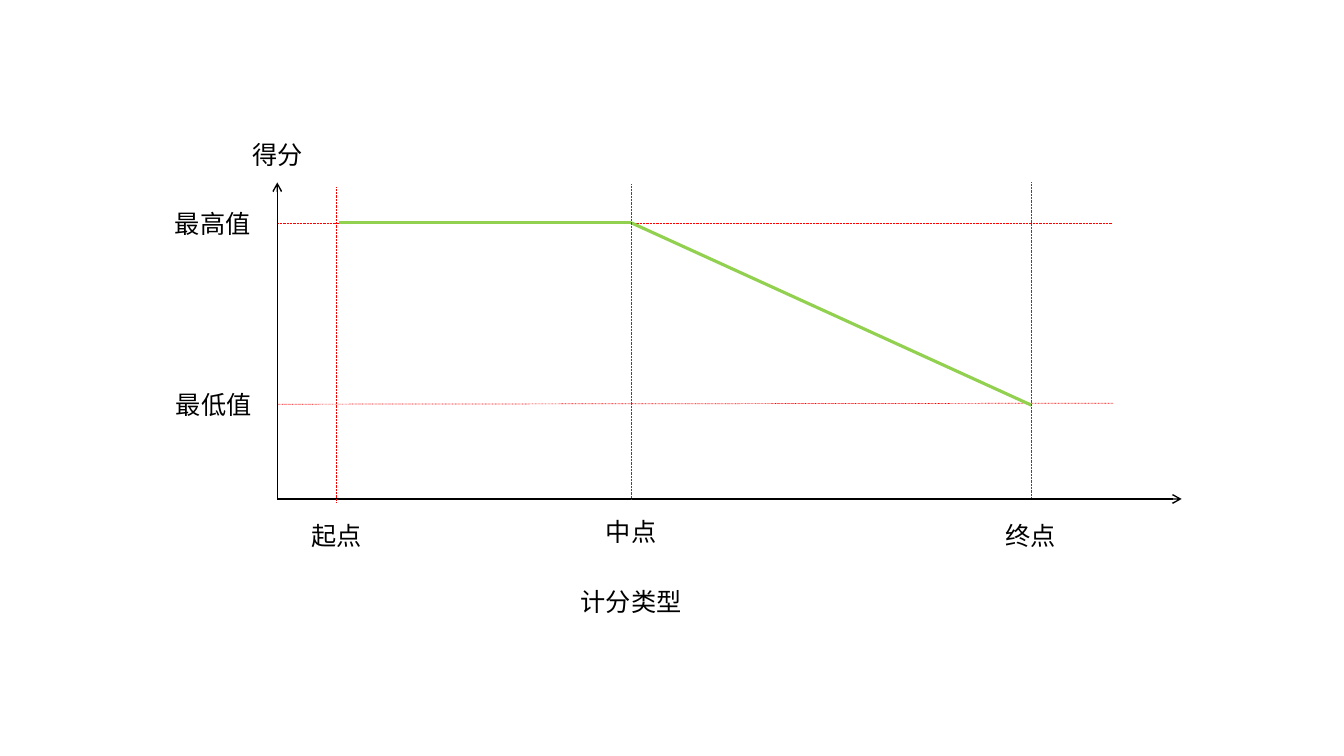
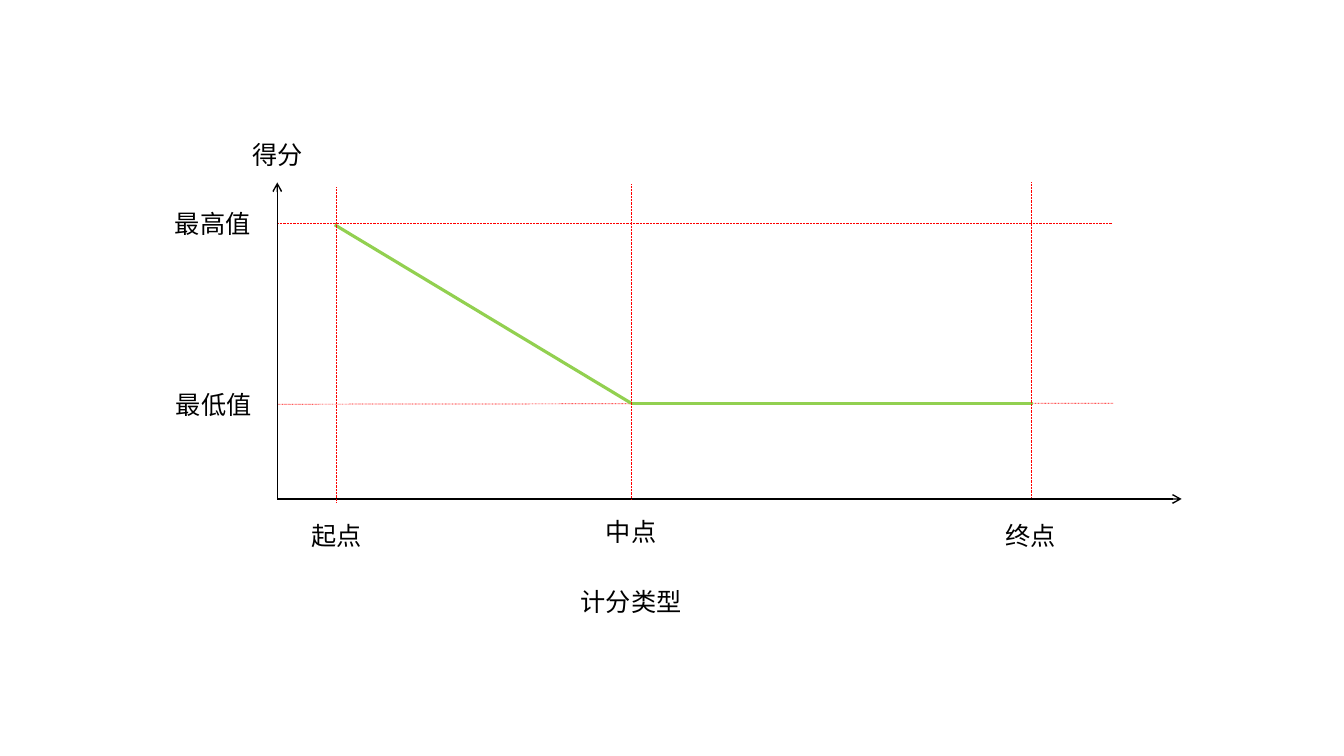
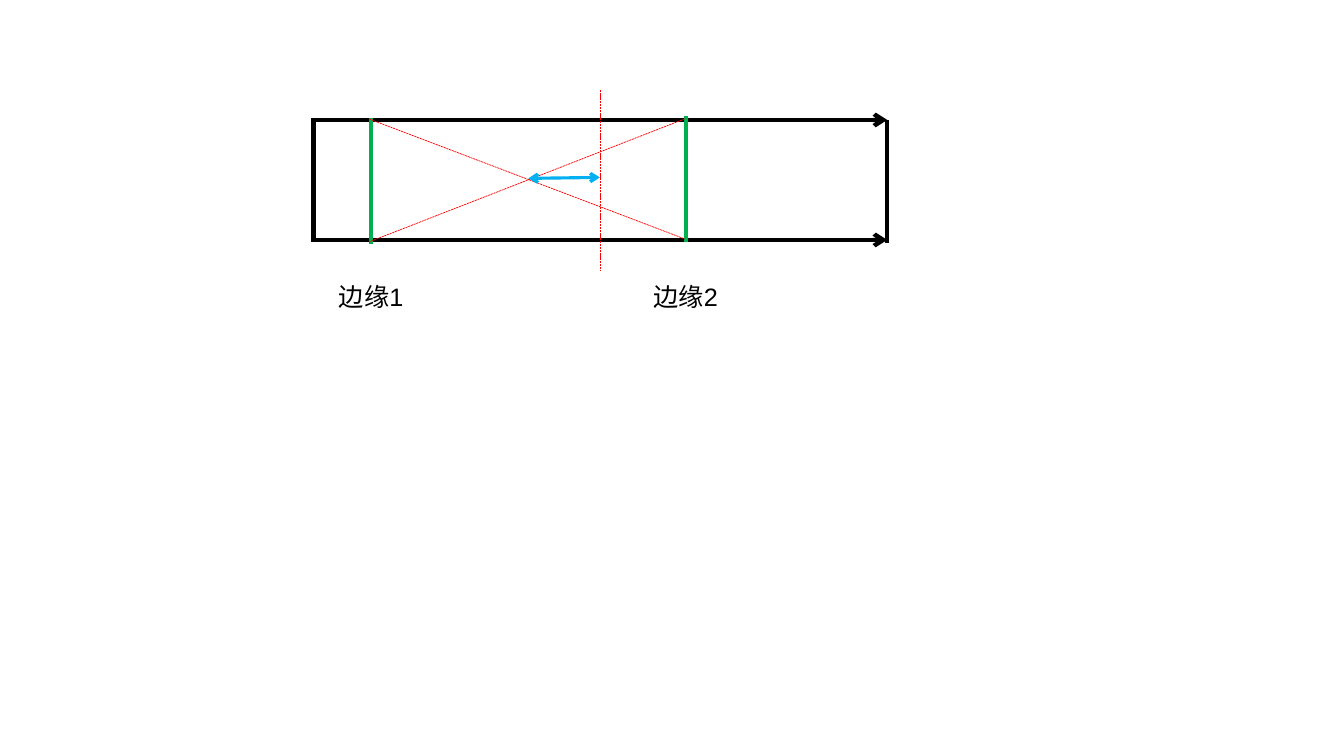
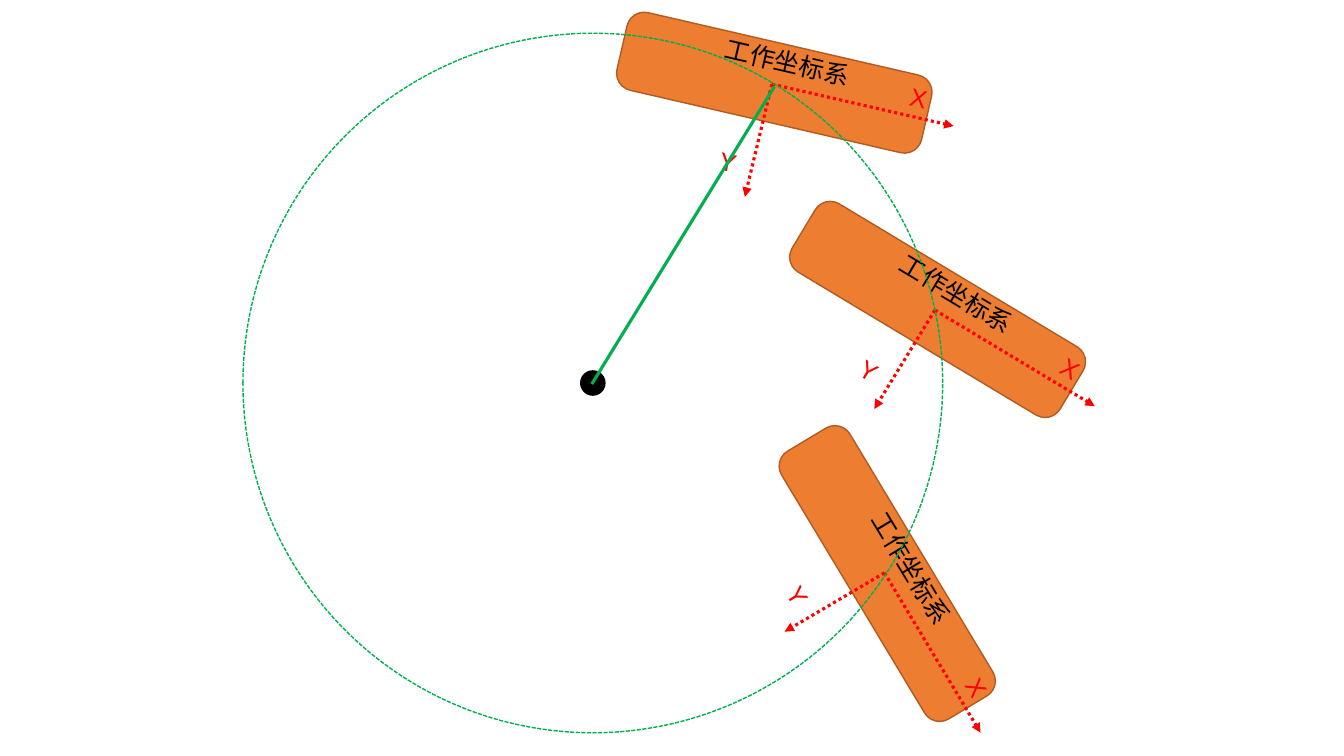
"""Draw two scoring curves, an edge midpoint diagram and a rotating work frame."""
import math
from lxml import etree
from pptx import Presentation
from pptx.dml.color import RGBColor
from pptx.enum import dml, shapes, text
from pptx.oxml.ns import qn
from pptx.util import Inches, Pt

BLACK, RED, LIME, GREEN = "000000", "FF0000", "92D050", "00B050"
BLUE, ORANGE, BROWN = "00B0F0", "ED7D31", "AF5C24"
FONT, FONT_SIZE, LABEL_HEIGHT = "Arial", 18, 0.4
DOT, DASH = dml.MSO_LINE.ROUND_DOT, dml.MSO_LINE.SQUARE_DOT


def add_line(page, start, end, color, width, dash=None, arrows=()):
    line = page.shapes.add_connector(
        shapes.MSO_CONNECTOR.STRAIGHT, *map(Inches, (*start, *end)))
    line.line.color.rgb = RGBColor.from_string(color)
    line.line.width = Pt(width)
    if dash:
        line.line.dash_style = dash
    for arrow in arrows:
        etree.SubElement(line.line._get_or_add_ln(), qn(f"a:{arrow}"), type="arrow" if not dash else "triangle")
    etree.SubElement(line._element.spPr, qn("a:effectLst"))


def add_label(page, words, center, width, color=BLACK, angle=0):
    x, y = center
    box = page.shapes.add_textbox(*map(Inches, (
        x - width / 2, y - LABEL_HEIGHT / 2, width, LABEL_HEIGHT)))
    box.rotation = angle
    frame = box.text_frame
    frame.word_wrap = True
    frame.auto_size = text.MSO_AUTO_SIZE.SHAPE_TO_FIT_TEXT
    para = frame.paragraphs[0]
    para.alignment = text.PP_ALIGN.CENTER
    span = para.add_run()
    span.text = words
    span.font.name = FONT
    span.font.size = Pt(FONT_SIZE)
    span.font.color.rgb = RGBColor.from_string(color)


deck = Presentation()
deck.slide_width, deck.slide_height = Inches(13.33), Inches(7.5)
blank = deck.slide_layouts[6]

origin = (2.75, 4.95)
score_curves = [
    [(3.36, 2.21), (6.26, 2.21), (10.23, 4.02)],
    [(3.32, 2.23), (6.26, 4), (10.25, 4)],
]
score_labels = [
    ("起点", (3.34, 5.31), 0.76),
    ("中点", (6.26, 5.27), 0.76),
    ("终点", (10.22, 5.31), 0.76),
    ("最低值", (2.12, 4.01), 0.97),
    ("最高值", (2.11, 2.22), 0.97),
    ("得分", (2.75, 1.53), 0.97),
    ("计分类型", (6.26, 5.97), 1.25),
]
for curve in score_curves:
    page = deck.slides.add_slide(blank)
    add_line(page, (11.04, 4), (2.75, 4.01), RED, 0.5, DOT)
    add_line(page, (11.03, 2.22), (2.74, 2.22), RED, 0.5, DOT)
    for axis_end in [(2.75, 1.81), (11.72, 4.95)]:
        add_line(page, origin, axis_end, BLACK, 1, arrows=["tailEnd"])
    for start, end in zip(curve, curve[1:]):
        add_line(page, start, end, LIME, 2.25)
    for x, top in [(3.34, 1.86), (6.26, 1.83), (10.23, 1.81)]:
        add_line(page, (x, top), (x, top + 3.12), RED, 0.5, DOT)
    for words, center, width in score_labels:
        add_label(page, words, center, width)

page = deck.slides.add_slide(blank)
left, right, top, bottom = 3.11, 8.8, 1.19, 2.38
for y in (bottom, top):
    add_line(page, (left, y), (right, y), BLACK, 3, arrows=["tailEnd"])
add_line(page, (left, 1.17), (left, 2.4), BLACK, 3)
add_line(page, (right, top), (right, 2.41), BLACK, 3)
add_line(page, (5.95, 0.89), (5.95, 2.69), RED, 0.5, DASH)
for number, (x, edge_top) in enumerate([(3.68, 1.17), (6.8, 1.15)], 1):
    add_line(page, (x, edge_top), (x, edge_top + 1.25), GREEN, 3)
    add_label(page, f"边缘{number}", (x, 2.94), 1.19)
add_line(page, (3.66, 1.18), (6.79, 2.37), RED, 0.5, DASH)
add_line(page, (6.79, 1.18), (3.66, 2.4), RED, 0.5, DASH)
add_line(page, (5.24, 1.77), (5.95, 1.76), BLUE, 2.25, arrows=["headEnd", "tailEnd"])

page = deck.slides.add_slide(blank)
frame_points = {
    "origin": (-0.02, 0.02), "x tip": (1.83, 0.02), "y tip": (-0.03, 1.17),
    "x label": (1.43, -0.18), "y label": (-0.27, 0.87), "title": (0.08, -0.23),
}
plate_width, plate_height = 3.1, 0.79
for center_x, center_y, angle in [(8.8, 5.69, 59), (9.3, 3.07, 31), (7.68, 0.82, 13)]:
    plate = page.shapes.add_shape(
        shapes.MSO_SHAPE.ROUNDED_RECTANGLE, *map(Inches, (
            center_x - plate_width / 2, center_y - plate_height / 2,
            plate_width, plate_height)))
    plate.adjustments[0] = 0.22
    plate.rotation = angle
    plate.shadow.inherit = False
    plate.fill.solid()
    plate.fill.fore_color.rgb = RGBColor.from_string(ORANGE)
    plate.line.color.rgb = RGBColor.from_string(BROWN)
    plate.line.width = Pt(1)
    cos, sin = math.cos(math.radians(angle)), math.sin(math.radians(angle))
    spots = {name: (center_x + x * cos - y * sin, center_y + x * sin + y * cos)
             for name, (x, y) in frame_points.items()}
    for tip in ("x tip", "y tip"):
        add_line(page, spots["origin"], spots[tip], RED, 2.25, DOT, ["tailEnd"])
    add_label(page, "X", spots["x label"], 0.5, RED, angle)
    add_label(page, "Y", spots["y label"], 0.5, RED, angle)
    add_label(page, "工作坐标系", spots["title"], 1.68, BLACK, angle)

hub_x, hub_y = 5.88, 3.8
for diameter, color in [(0.24, BLACK), (6.94, GREEN)]:
    circle = page.shapes.add_shape(shapes.MSO_SHAPE.OVAL, *map(Inches, (
        hub_x - diameter / 2, hub_y - diameter / 2, diameter, diameter)))
    circle.shadow.inherit = False
    circle.line.color.rgb = RGBColor.from_string(color)
    circle.line.width = Pt(1)
    if color == BLACK:
        circle.fill.solid()
        circle.fill.fore_color.rgb = RGBColor.from_string(BLACK)
    else:
        circle.fill.background()
        circle.line.dash_style = DASH
add_line(page, (7.68, 0.86), (5.87, 3.81), GREEN, 2.25)

deck.save("out.pptx")
